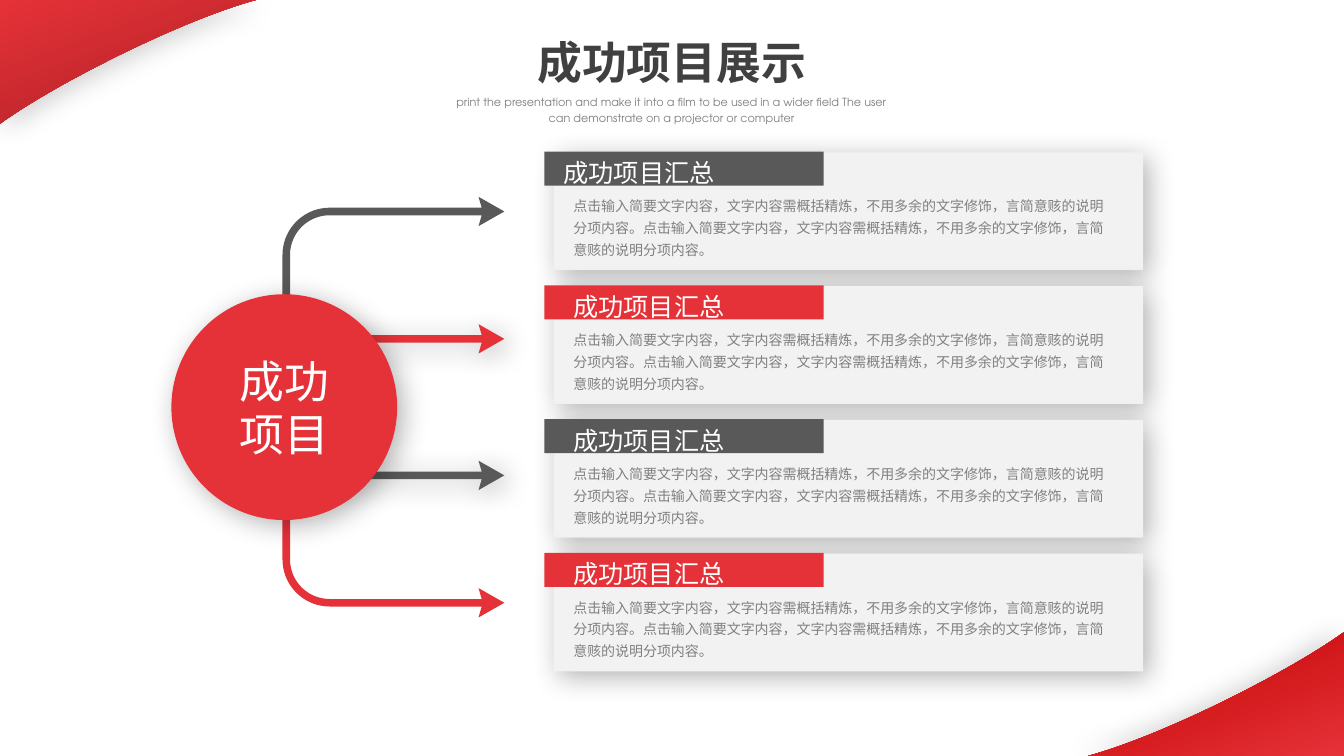
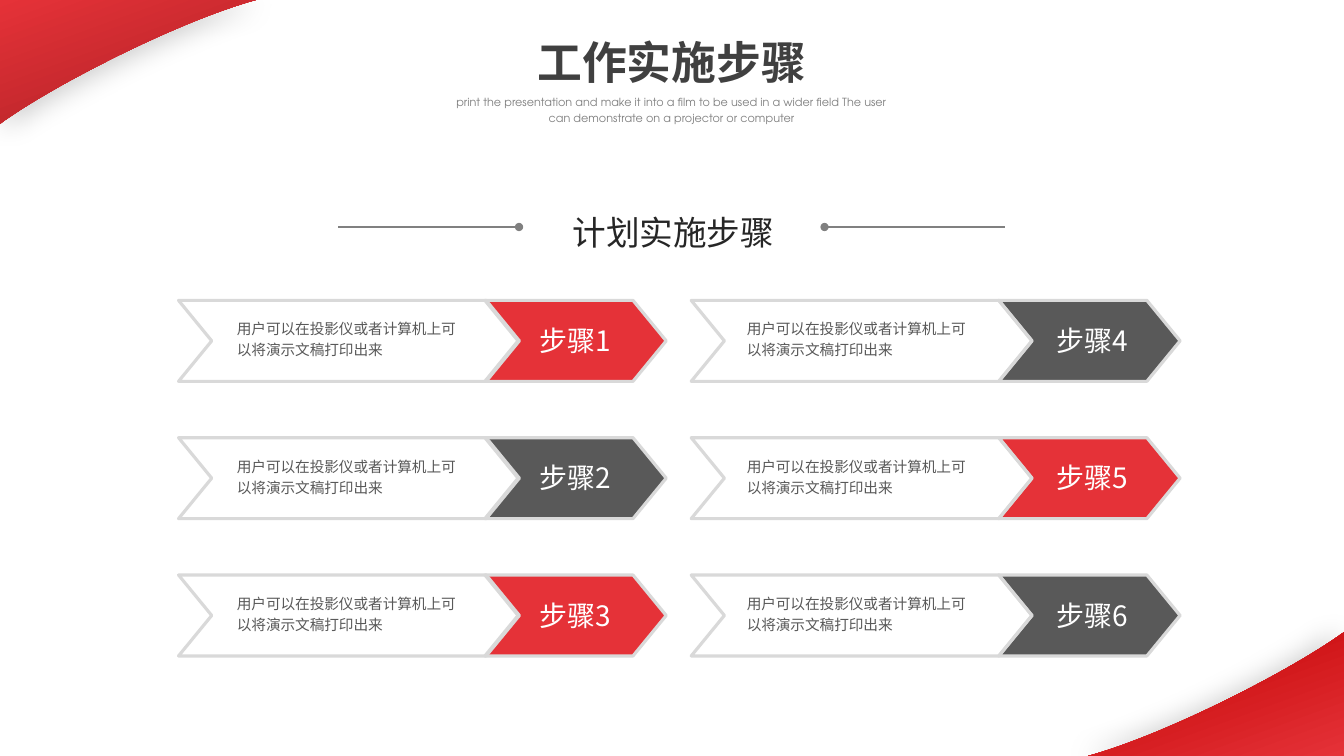
from dataclasses import dataclass
from math import cos, radians, sin
from typing import Optional

from lxml.etree import SubElement
from pptx import Presentation
from pptx.dml.color import RGBColor
from pptx.enum.shapes import MSO_CONNECTOR, MSO_SHAPE
from pptx.enum.text import MSO_ANCHOR, MSO_AUTO_SIZE, PP_ALIGN
from pptx.oxml.ns import qn
from pptx.shapes.autoshape import Shape
from pptx.slide import Slide
from pptx.util import Cm, Pt

COLORS = {
    "red": "E53238",
    "dark_red": "AC2125",
    "deep_red": "C00000",
    "slate": "595959",
    "panel": "F2F2F2",
    "outline": "D9D9D9",
    "title": "404040",
    "heading": "262626",
    "muted": "808080",
    "white": "FFFFFF",
    "shadow": "000000",
}
CJK_FONT = "Noto Sans CJK SC"
TITLE_FONT = "TeX Gyre Adventor"
BODY_FONT = "Calibri"
PAGE_WIDTH, PAGE_HEIGHT = 33.87, 19.05

SUBTITLE = ("print the presentation and make it into a film to be used in a wider field "
            "The user can demonstrate on a projector or computer")
PANEL_HEADING = "成功项目汇总"
PANEL_SENTENCES = ("点击输入简要文字内容，文字内容需概括精炼，"
                   "不用多余的文字修饰，言简意赅的说明分项内容。")
STEP_TEXT = "用户可以在投影仪或者计算机上可以将演示文稿打印出来"

Point = tuple[float, float]


@dataclass(frozen=True)
class Shadow:
    opacity: int
    angle: int
    blur: float = 20
    distance: float = 5


@dataclass(frozen=True)
class Corner:
    end_color: str
    gradient_angle: int
    shadow_angle: int
    turned: bool


@dataclass(frozen=True)
class Panel:
    color: str
    heading_left: float = 14.2


@dataclass(frozen=True)
class Arrow:
    color: str
    offset: float
    bent: bool


@dataclass(frozen=True)
class StepColumn:
    outline_left: float
    badge_left: float
    text_left: float
    label_left: float
    colors: tuple[str, ...]


CORNERS = (
    Corner("dark_red", 70, 45, False),
    Corner("deep_red", 250, 180, True),
)
PANELS = (Panel("slate", 13.95), Panel("red"), Panel("slate"), Panel("red"))
ARROWS = (
    Arrow("slate", -4.93, True),
    Arrow("red", -1.72, False),
    Arrow("slate", 1.72, False),
    Arrow("red", 4.93, True),
)
STEP_COLUMNS = (
    StepColumn(4.5, 12.22, 5.72, 13.46, ("red", "slate", "red")),
    StepColumn(17.42, 25.17, 18.57, 26.49, ("slate", "red", "slate")),
)
SOFT_SHADOW = Shadow(30, 45)


def rgb(name: str) -> RGBColor:
    return RGBColor.from_string(COLORS[name])


def style_shape(shape: Shape, fill: Optional[str] = None, line: Optional[str] = None,
                shadow: Optional[Shadow] = None) -> Shape:
    if fill:
        shape.fill.solid()
        shape.fill.fore_color.rgb = rgb(fill)
    else:
        shape.fill.background()
    if line:
        shape.line.color.rgb = rgb(line)
        shape.line.width = Pt(2.25)
    else:
        shape.line.fill.background()
    shape.shadow.inherit = False
    if shadow:
        effects = shape.element.spPr.find(qn("a:effectLst"))
        outer = SubElement(effects, qn("a:outerShdw"), blurRad=str(Pt(shadow.blur)),
                           dist=str(Pt(shadow.distance)), dir=str(shadow.angle * 60000),
                           algn="ctr", rotWithShape="0")
        color = SubElement(outer, qn("a:srgbClr"), val=COLORS["shadow"])
        SubElement(color, qn("a:alpha"), val=str(shadow.opacity * 1000))
    return shape


def add_preset(page: Slide, kind: MSO_SHAPE, left: float, top: float, width: float,
               height: float, **style) -> Shape:
    shape = page.shapes.add_shape(kind, Cm(left), Cm(top), Cm(width), Cm(height))
    return style_shape(shape, **style)


def add_outline(page: Slide, points: list[Point], **style) -> Shape:
    """Draw a closed freeform through points given in centimetres."""
    corners = [(Cm(x), Cm(y)) for x, y in points]
    builder = page.shapes.build_freeform(*corners[0])
    builder.add_line_segments(corners[1:], close=True)
    return style_shape(builder.convert_to_shape(), **style)


def write_text(shape: Shape, text: str, *, size: float, color: str, font: str = CJK_FONT,
               bold: bool = False, align: PP_ALIGN = PP_ALIGN.LEFT,
               line_spacing: float = 1.0, insets: Point = (0.25, 0.13),
               anchor: MSO_ANCHOR = MSO_ANCHOR.TOP) -> None:
    frame = shape.text_frame
    frame.word_wrap = True
    frame.vertical_anchor = anchor
    frame.margin_left = frame.margin_right = Cm(insets[0])
    frame.margin_top = frame.margin_bottom = Cm(insets[1])
    para = frame.paragraphs[0]
    para.alignment = align
    para.line_spacing = line_spacing
    span = para.add_run()
    span.text = text
    span.font.size = Pt(size)
    span.font.bold = bold
    span.font.name = font
    span.font.color.rgb = rgb(color)
    SubElement(span.font._element, qn("a:ea"), typeface=font)


def add_text(page: Slide, text: str, left: float, top: float, width: float, height: float,
             **text_format) -> None:
    box = page.shapes.add_textbox(Cm(left), Cm(top), Cm(width), Cm(height))
    write_text(box, text, **text_format)
    box.text_frame.auto_size = MSO_AUTO_SIZE.SHAPE_TO_FIT_TEXT


def bezier(start: Point, first: Point, second: Point, end: Point,
           steps: int = 32) -> list[Point]:
    points = []
    for step in range(steps + 1):
        t = step / steps
        weights = ((1 - t) ** 3, 3 * t * (1 - t) ** 2, 3 * t * t * (1 - t), t ** 3)
        points.append(tuple(sum(weight * point[axis] for weight, point
                                in zip(weights, (start, first, second, end)))
                            for axis in (0, 1)))
    return points


def add_corner(page: Slide, corner: Corner) -> Shape:
    points = [(0, 0)] + bezier((6.45, 0), (4.42, 0.56), (1.24, 2.21), (0, 3.12))
    if corner.turned:
        points = [(PAGE_WIDTH - x, PAGE_HEIGHT - y) for x, y in points]
    shape = add_outline(page, points, fill="red", shadow=Shadow(20, corner.shadow_angle))
    shape.fill.gradient()
    shape.fill.gradient_angle = 360 - corner.gradient_angle
    for stop, color in zip(shape.fill.gradient_stops, ("red", corner.end_color)):
        stop.color.rgb = rgb(color)
    return shape


def decorate_layout(page: Slide) -> None:
    """Place the red corners on the layout, so every page shows them."""
    layout_tree = page.slide_layout.element.cSld.spTree
    for corner in CORNERS:
        layout_tree.append(add_corner(page, corner).element)


def add_title(page: Slide, title: str) -> None:
    add_text(page, title, 11, 0.74, 11.86, 1.63, size=32, color="title",
             font=TITLE_FONT, bold=True, align=PP_ALIGN.CENTER)
    add_text(page, SUBTITLE, 11, 2.21, 11.86, 1.07, size=8, color="muted",
             font=TITLE_FONT, align=PP_ALIGN.CENTER, line_spacing=1.2)


def add_arrow(page: Slide, arrow: Arrow, center_y: float) -> None:
    """Draw an arrow from the hub to the right; a bent one leaves it vertically."""
    half, shaft_left, radius = 0.095, 7.12, 1.095
    y = center_y + arrow.offset
    head = [(12.14, -half), (12.06, -0.37), (12.71, 0), (12.06, 0.37), (12.14, half)]
    points = [(x, y + rise) for x, rise in head]
    if arrow.bent:
        side = 1 if arrow.offset < 0 else -1
        if side < 0:
            points = points[::-1]
        turn_x, turn_y = shaft_left + half + radius, y + side * radius
        angles = [radians(degree) for degree in range(0, 91, 5)]

        def arc(size: float) -> list[Point]:
            return [(turn_x - size * sin(angle), turn_y - side * size * cos(angle))
                    for angle in angles]

        points += arc(radius - half)
        points += [(shaft_left + 2 * half, center_y), (shaft_left, center_y)]
        points += arc(radius + half)[::-1]
    else:
        points += [(shaft_left, y + half), (shaft_left, y - half)]
    add_outline(page, points, fill=arrow.color,
                shadow=None if arrow.bent else SOFT_SHADOW)


def add_panel(page: Slide, panel: Panel, top: float) -> None:
    add_preset(page, MSO_SHAPE.RECTANGLE, 13.95, top, 14.86, 2.97,
               fill="panel", shadow=SOFT_SHADOW)
    add_preset(page, MSO_SHAPE.RECTANGLE, 13.72, top - 0.02, 7.04, 0.86, fill=panel.color)
    add_text(page, PANEL_HEADING, panel.heading_left, top - 0.23, 5.69, 1.17,
             size=18, color="white", line_spacing=1.3)
    add_text(page, PANEL_SENTENCES * 2, 14.2, top + 0.89, 13.97, 1.93,
             size=10, color="muted", line_spacing=1.3)


def build_projects_page(page: Slide) -> None:
    hub_y, hub_size = 10.26, 5.69
    for arrow in ARROWS:
        add_arrow(page, arrow, hub_y)
    hub = add_preset(page, MSO_SHAPE.OVAL, 4.32, hub_y - hub_size / 2, hub_size, hub_size,
                     fill="red", shadow=SOFT_SHADOW)
    write_text(hub, "成功项目", size=32, color="white", align=PP_ALIGN.CENTER,
               insets=(0.5, 0.13), anchor=MSO_ANCHOR.MIDDLE)
    for row, panel in enumerate(PANELS):
        add_panel(page, panel, 3.84 + 3.37 * row)
    add_title(page, "成功项目展示")


def add_dotted_rule(page: Slide, start_x: float, end_x: float, y: float) -> None:
    """Draw a thin line that ends in a dot."""
    rule = page.shapes.add_connector(MSO_CONNECTOR.STRAIGHT,
                                     Cm(start_x), Cm(y), Cm(end_x), Cm(y))
    rule.line.color.rgb = rgb("muted")
    rule.line.width = Pt(0.75)
    properties = rule.element.spPr
    SubElement(properties.find(qn("a:ln")), qn("a:tailEnd"), type="oval")
    SubElement(properties, qn("a:effectLst"))


def add_step(page: Slide, column: StepColumn, color: str, number: int, top: float) -> None:
    for left, width, fill in ((column.badge_left, 4.57, color),
                              (column.outline_left, 8.59, None)):
        chevron = add_preset(page, MSO_SHAPE.CHEVRON, left, top, width, 2.04,
                             fill=fill, line="outline")
        chevron.adjustments[0] = 0.41
    add_text(page, STEP_TEXT, column.text_left, top + 0.28, 6.25, 1.37,
             size=10.5, color="slate", font=BODY_FONT, line_spacing=1.2)
    add_text(page, f"步骤{number}", column.label_left, top + 0.58, 2.08, 0.86,
             size=20, color="white", align=PP_ALIGN.CENTER, insets=(0, 0))


def build_steps_page(page: Slide) -> None:
    number = 0
    for column in STEP_COLUMNS:
        for row, color in enumerate(column.colors):
            number += 1
            add_step(page, column, color, number, 7.57 + 3.46 * row)
    add_text(page, "计划实施步骤", 10.72, 5.03, 12.5, 1.22, size=24, color="heading",
             align=PP_ALIGN.CENTER, line_spacing=1.3, insets=(0, 0))
    for start_x, end_x in ((8.53, 13.08), (25.32, 20.78)):
        add_dotted_rule(page, start_x, end_x, 5.72)
    add_title(page, "工作实施步骤")


def main() -> None:
    deck = Presentation()
    deck.slide_width, deck.slide_height = Cm(PAGE_WIDTH), Cm(PAGE_HEIGHT)
    blank = deck.slide_layouts[6]
    projects_page, steps_page = (deck.slides.add_slide(blank) for _ in range(2))
    decorate_layout(projects_page)
    build_projects_page(projects_page)
    build_steps_page(steps_page)
    deck.save("out.pptx")


if __name__ == "__main__":
    main()
